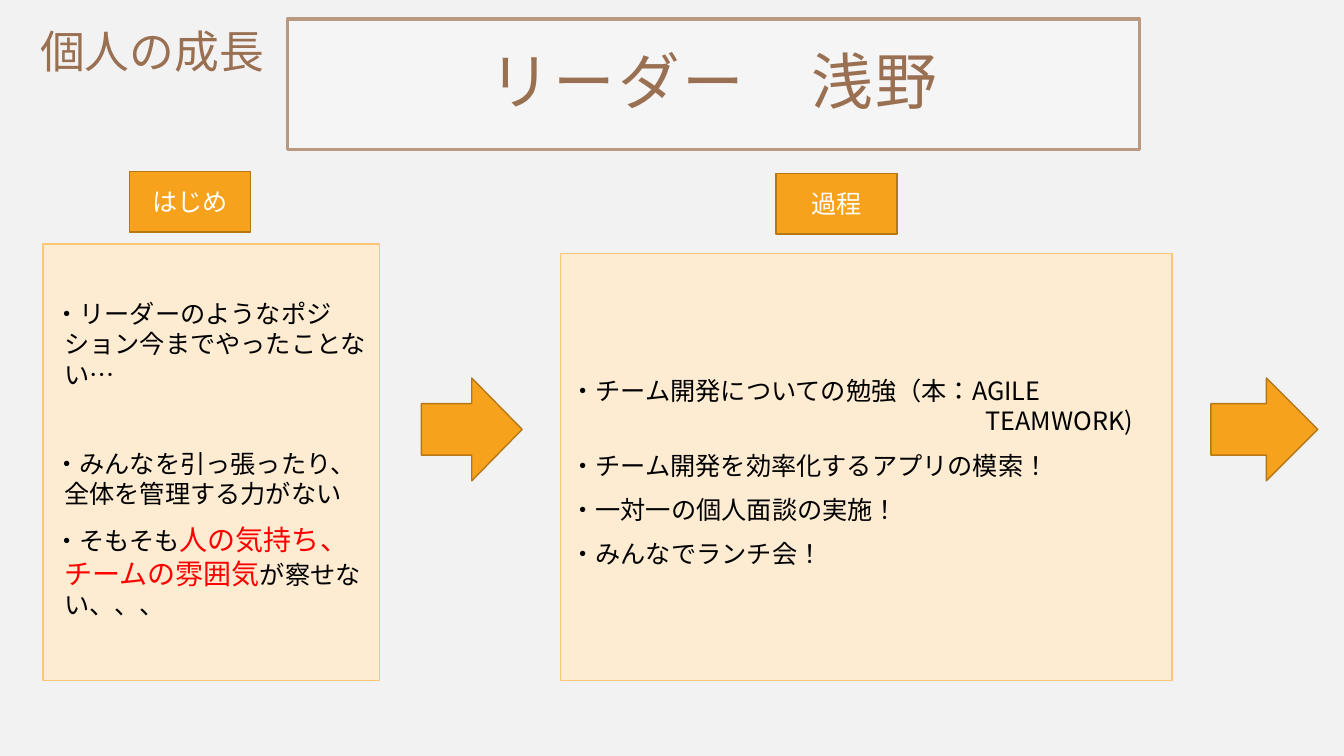
from lxml import etree
from pptx import Presentation
from pptx.dml.color import RGBColor
from pptx.enum.lang import MSO_LANGUAGE_ID
from pptx.enum.shapes import MSO_SHAPE
from pptx.enum.text import MSO_ANCHOR, PP_ALIGN
from pptx.oxml.ns import qn
from pptx.util import Inches, Pt

RECTANGLE, ARROW = MSO_SHAPE.RECTANGLE, MSO_SHAPE.RIGHT_ARROW
MIDDLE, TOP = MSO_ANCHOR.MIDDLE, MSO_ANCHOR.TOP
CENTER, LEFT = PP_ALIGN.CENTER, PP_ALIGN.LEFT
LANGUAGE = MSO_LANGUAGE_ID.JAPANESE
WIDTH, HEIGHT = Inches(13.33), Inches(7.5)
JAPANESE, HEADING = "Noto Sans CJK JP", "Cabin"
COLORS = {
    "background": "F2F2F2", "panel": "FDECD2", "panel_edge": "FAC777",
    "orange": "F6A21D", "orange_edge": "B67815", "white": "FFFFFF",
    "brown": "9A7053", "title_edge": "BB9981", "black": "000000", "red": "FF0000",
}

BEFORE = [
    [("・リーダーのようなポジション今までやったことない…", {})],
    [("・みんなを引っ張ったり、全体を管理する力がない", {})],
    [("・そもそも", {}),
     ("人の気持ち、チームの雰囲気", {"size": 20, "color": "red"}),
     ("が察せない、、、", {})],
]
PROCESS = [
    [("・チーム開発についての勉強（本：AGILE TEAMWORK)", {})],
    [("・チーム開発を効率化するアプリの模索！", {})],
    [("・一対一の個人面談の実施！", {})],
    [("・みんなでランチ会！", {})],
]


def rgb(name):
    return RGBColor.from_string(COLORS[name])


def place(left, top, width, height):
    return [int(WIDTH * left / 100), int(HEIGHT * top / 100),
            int(WIDTH * width / 100), int(HEIGHT * height / 100)]


def add_block(slide, kind, area, fill, edge, weight=1):
    block = slide.shapes.add_shape(kind, *place(*area))
    block.shadow.inherit = False
    block.fill.solid()
    block.fill.fore_color.rgb = rgb(fill)
    block.line.color.rgb = rgb(edge)
    block.line.width = Pt(weight)
    return block


def add_run(paragraph, words, size=18, color="black", font=JAPANESE):
    run = paragraph.add_run()
    run.text = words
    look = {"size": Pt(size), "name": font, "language_id": LANGUAGE}
    for key, value in look.items():
        setattr(run.font, key, value)
    run.font.color.rgb = rgb(color)
    east_asian = etree.SubElement(run.font._element, qn("a:ea"))
    east_asian.set("typeface", JAPANESE)


def write(holder, paragraphs, anchor=MIDDLE, align=LEFT, hangs=(), gaps=()):
    frame = holder.text_frame
    for key, value in {"word_wrap": True, "vertical_anchor": anchor}.items():
        setattr(frame, key, value)
    for index, runs in enumerate(paragraphs):
        paragraph = frame.paragraphs[0] if index == 0 else frame.add_paragraph()
        paragraph.alignment = align
        if index:
            paragraph.space_before = Pt(gaps[index - 1])
        if hangs:
            indent = int(WIDTH * hangs[index] / 100)
            properties = paragraph._p.get_or_add_pPr()
            properties.set("marL", str(indent))
            properties.set("indent", str(-indent))
        for words, look in runs:
            add_run(paragraph, words, **look)
    return frame


def add_text(slide, area, paragraphs, **layout):
    write(slide.shapes.add_textbox(*place(*area)), paragraphs, **layout)


def add_label(slide, left, top, words):
    label = add_block(slide, RECTANGLE, (left, top, 9, 8), "orange", "orange_edge")
    write(label, [[(words, {"color": "white"})]], align=CENTER)


def add_title(slide, words):
    title = add_block(slide, RECTANGLE, (21.4, 2.5, 63.4, 17.3),
                      "white", "title_edge", 2.5)
    fill_color = title._element.spPr.find(qn("a:solidFill"))[0]
    etree.SubElement(fill_color, qn("a:alpha")).set("val", "30000")
    look = {"size": 44, "color": "brown", "font": HEADING}
    frame = write(title, [[(words, look)]], align=CENTER)
    for side in ("left", "top", "right", "bottom"):
        setattr(frame, f"margin_{side}", Inches(0.2))
    line = frame.paragraphs[0]
    line.line_spacing = 0.9
    line.runs[0].font._element.set("spc", "200")


def main():
    deck = Presentation()
    deck.slide_width, deck.slide_height = WIDTH, HEIGHT
    slide = deck.slides.add_slide(deck.slide_layouts[6])
    slide.background.fill.solid()
    slide.background.fill.fore_color.rgb = rgb("background")

    for panel in ((41.7, 33.5, 45.5, 56.5), (3.2, 32.3, 25.05, 57.7)):
        add_block(slide, RECTANGLE, panel, "panel", "panel_edge")
    for left, width in ((31.35, 7.5), (90.1, 7.95)):
        add_block(slide, ARROW, (left, 50, width, 13.6), "orange", "orange_edge")

    add_text(slide, (3.3, 36.9, 25.65, 47.7), BEFORE,
             hangs=(0.75, 0.75, 0.75), gaps=(42, 10))
    add_text(slide, (41.7, 34.9, 45.6, 55.1), PROCESS,
             hangs=(30.9, 0, 0, 0), gaps=(10, 10, 10))
    add_text(slide, (2.25, 2.5, 22.3, 9.3),
             [[("個人の成長", {"size": 32, "color": "brown", "font": HEADING})]],
             anchor=TOP)
    add_label(slide, 9.65, 22.7, "はじめ")
    add_label(slide, 57.75, 22.95, "過程")
    add_title(slide, "リーダー　浅野")
    deck.save("out.pptx")


if __name__ == "__main__":
    main()
